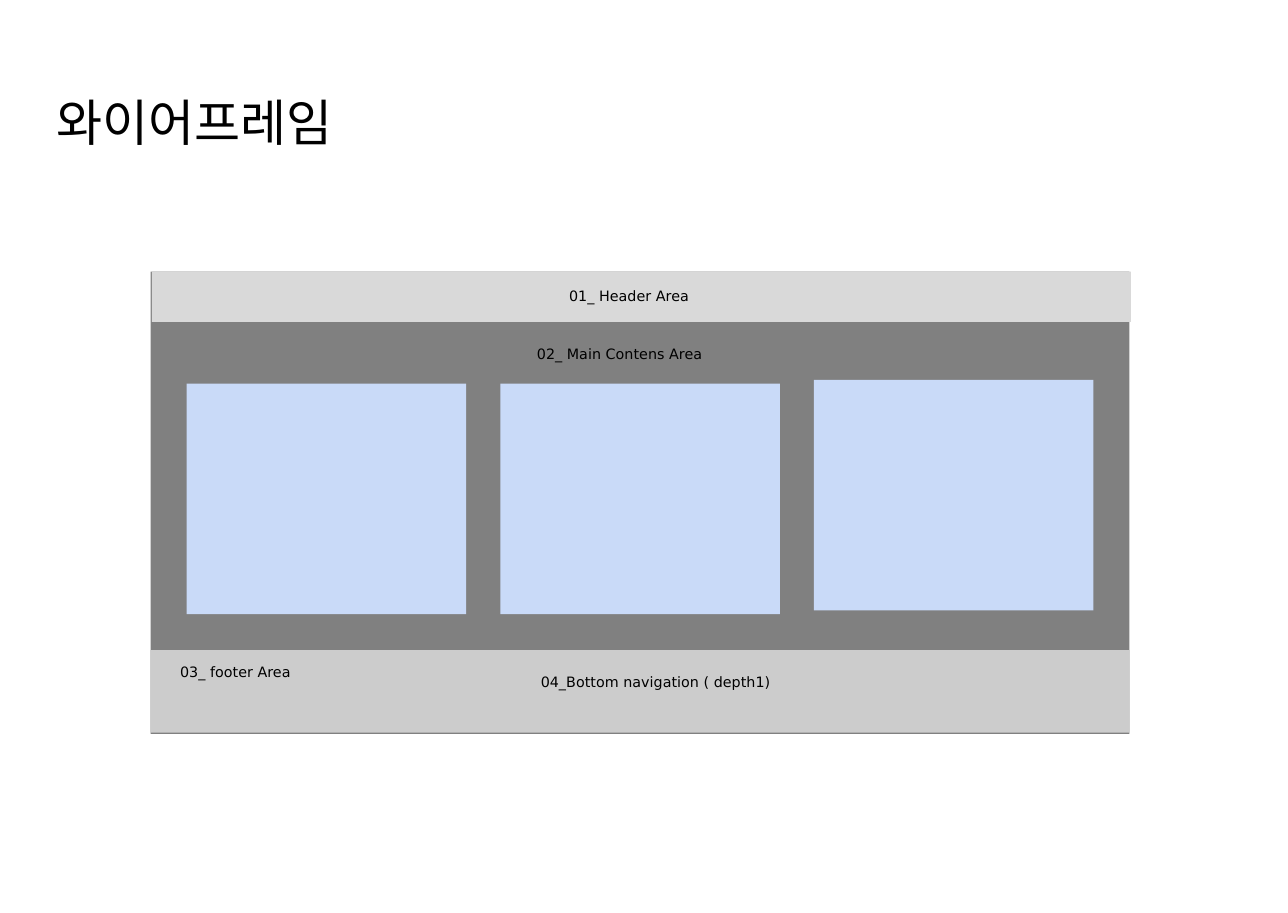
from pptx import Presentation
from pptx.dml.color import RGBColor
from pptx.enum.shapes import MSO_SHAPE as Shape
from pptx.enum.text import MSO_ANCHOR as Anchor
from pptx.util import Inches, Pt

SLIDE_W, SLIDE_H = 10, 7.09

BLACK = RGBColor(0x00, 0x00, 0x00)
MAIN_GREY = RGBColor(0x80, 0x80, 0x80)
FOOTER_GREY = RGBColor(0xCC, 0xCC, 0xCC)
HEADER_GREY = RGBColor(0xD9, 0xD9, 0xD9)
CARD_BLUE = RGBColor(0xC9, 0xDA, 0xF8)

# Wireframe grid, in inches
FRAME_X, FRAME_Y, FRAME_W, FRAME_H = 1.17, 2.11, 7.6, 3.59
HEADER_H, FOOTER_Y, FOOTER_H = 0.39, 5.05, 0.64
CARD_X, CARD_W, CARD_H, CARD_STEP = 1.45, 2.17, 1.79, 2.435
CARD_TOPS = (2.98, 2.98, 2.95)
LABEL_H = 0.23

LABELS = (
    ("01_ Header Area", 4.32, 2.18, 1.42),
    ("04_Bottom navigation ( depth1)", 4.1, 5.18, 1.99),
    ("02_ Main Contens Area", 4.07, 2.63, 1.81),
    ("03_ footer Area", 1.3, 5.1, 1.81),
)


def add_area(slide, x, y, width, height, color):
    area = slide.shapes.add_shape(
        Shape.RECTANGLE, Inches(x), Inches(y), Inches(width), Inches(height))
    area.shadow.inherit = False
    area.fill.solid()
    area.fill.fore_color.rgb = color
    area.line.fill.background()


def add_text(slide, text, x, y, width, height, size, font_name,
             anchor=Anchor.MIDDLE, inset=0.05, wrap=False):
    box = slide.shapes.add_textbox(
        Inches(x), Inches(y), Inches(width), Inches(height))
    frame = box.text_frame
    frame.word_wrap = wrap
    frame.vertical_anchor = anchor
    frame.margin_left = frame.margin_right = Inches(0.1)
    frame.margin_top = frame.margin_bottom = Inches(inset)
    frame.text = text
    font = frame.paragraphs[0].runs[0].font
    font.name = font_name
    font.size = Pt(size)
    font.color.rgb = BLACK


def main():
    deck = Presentation()
    deck.slide_width, deck.slide_height = Inches(SLIDE_W), Inches(SLIDE_H)
    slide = deck.slides.add_slide(deck.slide_layouts[6])

    # Title
    add_text(slide, "와이어프레임", 0.34, 0.61, 9.32, 0.79, 28, "Arial",
             anchor=Anchor.TOP, inset=0.1, wrap=True)

    # Page areas: main, footer, header
    add_area(slide, FRAME_X, FRAME_Y, FRAME_W, FRAME_H, MAIN_GREY)
    add_area(slide, FRAME_X, FOOTER_Y, FRAME_W, FOOTER_H, FOOTER_GREY)
    add_area(slide, FRAME_X + 0.01, FRAME_Y, FRAME_W, HEADER_H, HEADER_GREY)

    # Area labels
    for text, x, y, width in LABELS:
        add_text(slide, text, x, y, width, LABEL_H, 8, "DejaVu Sans")

    # Content cards
    for column, top in enumerate(CARD_TOPS):
        add_area(slide, CARD_X + column * CARD_STEP, top,
                 CARD_W, CARD_H, CARD_BLUE)

    deck.save("out.pptx")


if __name__ == "__main__":
    main()
